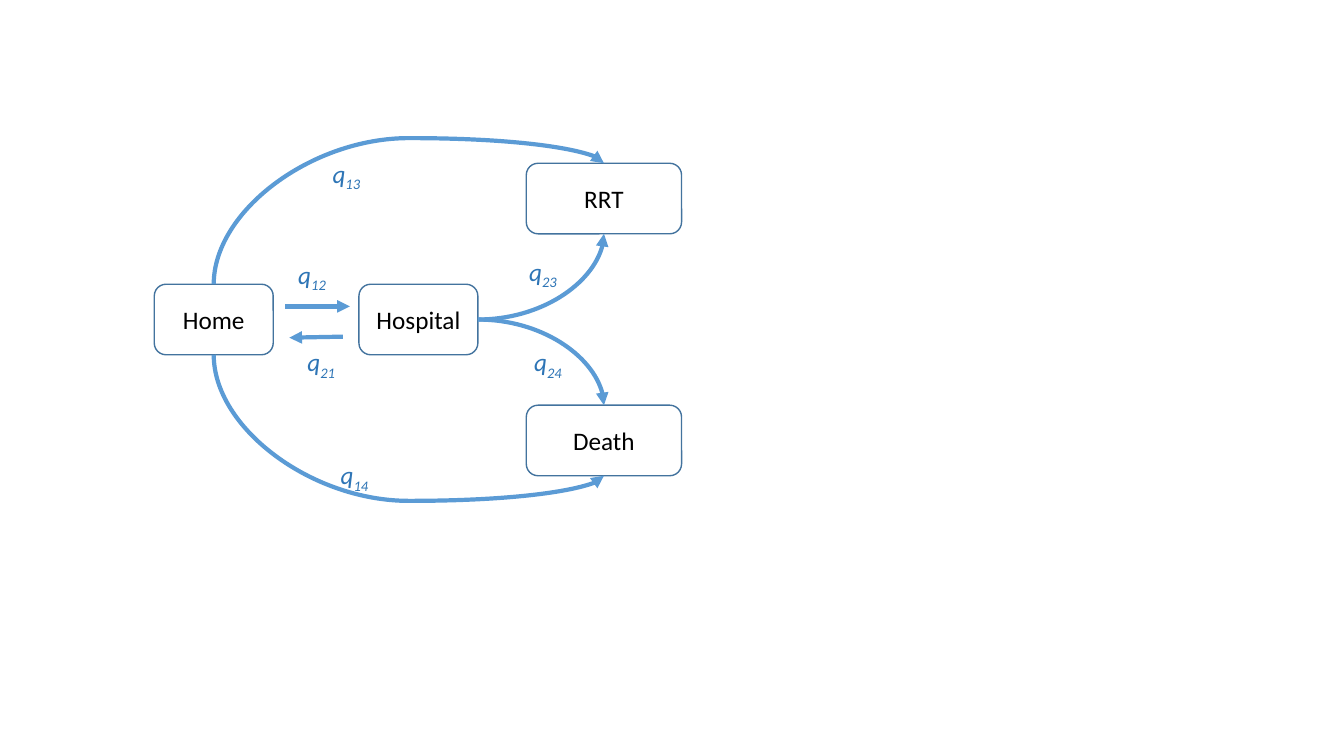
from dataclasses import dataclass
from typing import NamedTuple

from lxml import etree
from pptx import Presentation
from pptx import util as u
from pptx.dml.color import RGBColor
from pptx.enum import shapes, text
from pptx.oxml import ns


@dataclass(frozen=True)
class Theme:
    font: str = "Calibri"
    size: u.Pt = u.Pt(18)
    box_fill: RGBColor = RGBColor(0xFF, 0xFF, 0xFF)
    box_line: RGBColor = RGBColor(0x43, 0x73, 0x9E)
    box_text: RGBColor = RGBColor(0, 0, 0)
    arrow: RGBColor = RGBColor(0x5B, 0x9B, 0xD5)
    rate: RGBColor = RGBColor(0x2E, 0x75, 0xB6)
    box_weight: u.Pt = u.Pt(1)
    arrow_weight: u.Pt = u.Pt(3)


class State(NamedTuple):
    name: str
    col: float
    row: float
    cols: float


class Step(NamedTuple):
    """Straight arrow between two grid points."""
    start: tuple[float, float]
    end: tuple[float, float]


class Branch(NamedTuple):
    """Quarter curve from the right of one state to a side of another."""
    source: str
    target: str
    side: int


class Bypass(NamedTuple):
    """Arc that leaves and enters on the same side of two states."""
    source: str
    target: str
    side: int
    turn: int
    flips: tuple[str, ...]


class Rate(NamedTuple):
    index: str
    col: float
    row: float


THEME = Theme()
CELL = u.Inches(0.1)  # one column or row of the grid
STATE_ROWS = 7
RATE_COLS, RATE_ROWS = 5, 4
TOP, BOTTOM, RIGHT = 0, 2, 3  # connection sites of a box
OVERSHOOT = 120850  # how far an arc swings past its target, in 1/100000

STATES = [
    State("RRT", 52.2, 16.2, 15.4),
    State("Death", 52.2, 40.2, 15.4),
    State("Home", 15.3, 28.2, 11.8),
    State("Hospital", 35.6, 28.2, 11.8),
]
STEPS = [
    Step((34, 33.4), (28.7, 33.5)),
    Step((28.3, 30.4), (34.7, 30.4)),
]
BRANCHES = [
    Branch("Hospital", "Death", TOP),
    Branch("Hospital", "RRT", BOTTOM),
]
BYPASSES = [
    Bypass("Home", "Death", BOTTOM, 270, ("flipH",)),
    Bypass("Home", "RRT", TOP, 90, ("flipH", "flipV")),
]
RATES = [
    Rate("14", 32.8, 45.1),
    Rate("21", 29.5, 33.9),
    Rate("13", 32, 15.2),
    Rate("23", 51.5, 24.9),
    Rate("24", 52, 33.9),
    Rate("12", 28.6, 25.2),
]


def grid(count: float) -> int:
    return round(count * CELL)


def add_run(paragraph, words: str, color: RGBColor, italic: bool = False):
    run = paragraph.add_run()
    run.text = words
    run.font.name, run.font.size = THEME.font, THEME.size
    run.font.italic = italic
    run.font.color.rgb = color
    return run


def draw_state(slide, state: State):
    box = slide.shapes.add_shape(
        shapes.MSO_SHAPE.ROUNDED_RECTANGLE,
        grid(state.col), grid(state.row), grid(state.cols), grid(STATE_ROWS))
    box.shadow.inherit = False
    box.fill.solid()
    box.fill.fore_color.rgb = THEME.box_fill
    box.line.color.rgb = THEME.box_line
    box.line.width = THEME.box_weight
    frame = box.text_frame
    frame.vertical_anchor = text.MSO_ANCHOR.MIDDLE
    frame.paragraphs[0].alignment = text.PP_ALIGN.CENTER
    add_run(frame.paragraphs[0], state.name, THEME.box_text)
    return box


def draw_arrow(slide, kind, start=(0, 0), end=(0, 0)):
    arrow = slide.shapes.add_connector(
        kind, *(grid(count) for count in (*start, *end)))
    arrow.line.color.rgb = THEME.arrow
    arrow.line.width = THEME.arrow_weight
    etree.SubElement(arrow.line._get_or_add_ln(), ns.qn("a:tailEnd"), type="triangle")
    etree.SubElement(arrow._element.spPr, ns.qn("a:effectLst"))
    return arrow


def draw_curve(slide, source, source_side: int, target, target_side: int):
    curve = draw_arrow(slide, shapes.MSO_CONNECTOR.CURVE)
    curve.begin_connect(source, source_side)
    curve.end_connect(target, target_side)
    return curve


def draw_branch(slide, boxes: dict, branch: Branch) -> None:
    curve = draw_curve(slide, boxes[branch.source], RIGHT,
                       boxes[branch.target], branch.side)
    curve._element.spPr.find(ns.qn("a:prstGeom")).set("prst", "curvedConnector2")


def draw_bypass(slide, boxes: dict, bypass: Bypass) -> None:
    curve = draw_curve(slide, boxes[bypass.source], bypass.side,
                       boxes[bypass.target], bypass.side)
    # A quarter turn swaps width and height about the same centre
    shift = (curve.width - curve.height) // 2
    curve.left, curve.top = curve.left + shift, curve.top - shift
    curve.width, curve.height = curve.height, curve.width
    properties = curve._element.spPr
    frame = properties.find(ns.qn("a:xfrm"))
    frame.set("rot", str(bypass.turn * 60000))
    for flip in ("flipH", "flipV"):
        frame.set(flip, "1" if flip in bypass.flips else "0")
    guides = properties.find(ns.qn("a:prstGeom")).find(ns.qn("a:avLst"))
    etree.SubElement(guides, ns.qn("a:gd"), name="adj1", fmla=f"val {OVERSHOOT}")


def draw_rate(slide, rate: Rate) -> None:
    label = slide.shapes.add_textbox(
        grid(rate.col), grid(rate.row), grid(RATE_COLS), grid(RATE_ROWS))
    frame = label.text_frame
    frame.word_wrap = False
    frame.auto_size = text.MSO_AUTO_SIZE.SHAPE_TO_FIT_TEXT
    add_run(frame.paragraphs[0], "q", THEME.rate, italic=True)
    index = add_run(frame.paragraphs[0], rate.index, THEME.rate, italic=True)
    index.font._element.set("baseline", "-25000")


def main() -> None:
    deck = Presentation()
    deck.slide_width, deck.slide_height = u.Inches(13.33), u.Inches(7.5)
    slide = deck.slides.add_slide(deck.slide_layouts.get_by_name("Blank"))

    # States
    boxes = {state.name: draw_state(slide, state) for state in STATES}

    # Transitions
    for step in STEPS:
        draw_arrow(slide, shapes.MSO_CONNECTOR.STRAIGHT, step.start, step.end)
    for branch in BRANCHES:
        draw_branch(slide, boxes, branch)
    for bypass in BYPASSES:
        draw_bypass(slide, boxes, bypass)

    # Transition rates
    for rate in RATES:
        draw_rate(slide, rate)

    deck.save("out.pptx")


if __name__ == "__main__":
    main()
